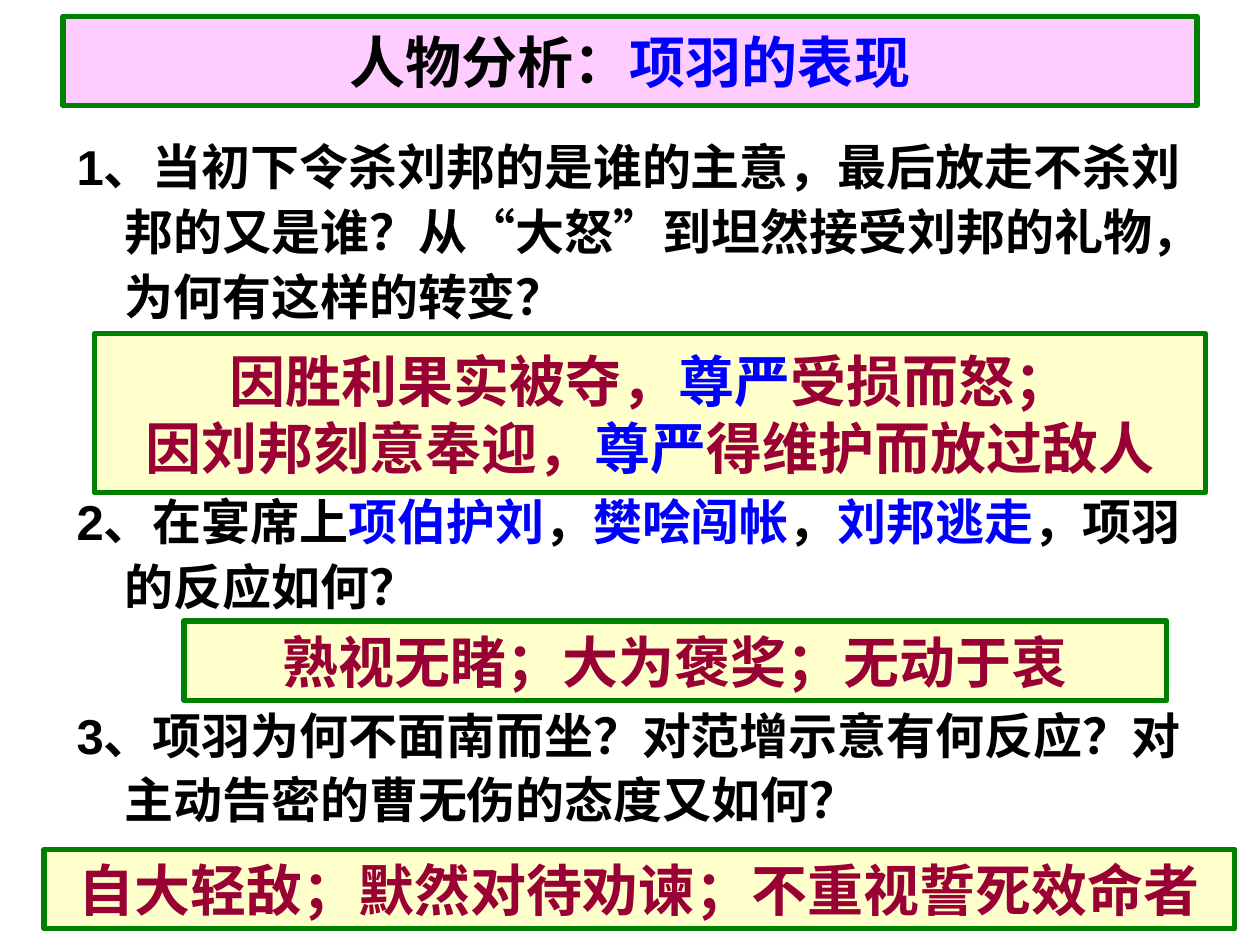
from pptx import Presentation
from pptx import util as u
from pptx.dml.color import RGBColor
from pptx.enum import lang, shapes, text

COLORS = {
    "ink": "000000",
    "highlight": "0000FF",
    "answer": "990033",
    "border": "008000",
    "title_fill": "FFCCFF",
    "answer_fill": "FFFFCC",
}
FONT = "Arial"
COLUMNS, ROWS = 100, 75
HANGING = 3.8  # columns

# Text between bars is highlighted
TITLE = "人物分析：|项羽的表现|"
QUESTIONS = [  # wording, points left free above for the previous answer
    ("1、当初下令杀刘邦的是谁的主意，最后放走不杀刘邦的又是谁？"
     "从“大怒”到坦然接受刘邦的礼物，为何有这样的转变？", 0),
    ("2、在宴席上|项伯护刘|，|樊哙闯帐|，|刘邦逃走|，项羽的反应如何？", 92),
    ("3、项羽为何不面南而坐？对范增示意有何反应？"
     "对主动告密的曹无伤的态度又如何？", 48),
]
ANSWERS = [  # box in columns and rows, lines
    ((7.5, 26.5, 88.2, 12.6), ["因胜利果实被夺，|尊严|受损而怒；",
                               "因刘邦刻意奉迎，|尊严|得维护而放过敌人"]),
    ((14.6, 49.3, 78, 6.3), ["熟视无睹；大为褒奖；无动于衷"]),
    ((3.5, 67.4, 94.5, 6.3), ["自大轻敌；默然对待劝谏；不重视誓死效命者"]),
]


def rgb(name):
    return RGBColor.from_string(COLORS[name])


def write(paragraph, marked, size, color):
    font = paragraph.font
    font.name, font.size, font.bold = FONT, u.Pt(size), True
    font.color.rgb = rgb(color)
    for index, part in enumerate(marked.split("|")):
        if part:
            run = paragraph.add_run()
            run.text = part
            run.font.language_id = lang.MSO_LANGUAGE_ID.SIMPLIFIED_CHINESE
            if index % 2:
                run.font.color.rgb = rgb("highlight")


def paragraphs(frame, count):
    return [frame.paragraphs[0]] + [frame.add_paragraph() for _ in range(count - 1)]


def add_panel(slide, box, lines, fill, color, wrap):
    """Framed box with centred lines."""
    panel = slide.shapes.add_shape(shapes.MSO_SHAPE.RECTANGLE, *box)
    panel.shadow.inherit = False
    panel.fill.solid()
    panel.fill.fore_color.rgb = rgb(fill)
    panel.line.color.rgb = rgb("border")
    panel.line.width = u.Pt(3)
    frame = panel.text_frame
    frame.word_wrap = wrap
    frame.vertical_anchor = text.MSO_ANCHOR.MIDDLE
    for paragraph, line in zip(paragraphs(frame, len(lines)), lines):
        paragraph.alignment = text.PP_ALIGN.CENTER
        write(paragraph, line, 32, color)


def add_questions(slide, box, questions, hanging):
    """Numbered questions with a hanging indent."""
    frame = slide.shapes.add_textbox(*box).text_frame
    frame.word_wrap = True
    for paragraph, (wording, gap) in zip(paragraphs(frame, len(questions)), questions):
        paragraph.line_spacing = 1.1
        paragraph.space_before = u.Pt(gap)
        properties = paragraph._p.get_or_add_pPr()
        properties.set("marL", str(hanging))
        properties.set("indent", str(-hanging))
        write(paragraph, wording, 28, "ink")


def main():
    deck = Presentation()
    deck.slide_width, deck.slide_height = u.Inches(10), u.Inches(7.5)
    slide = deck.slides.add_slide(deck.slide_layouts[6])
    column, row = deck.slide_width / COLUMNS, deck.slide_height / ROWS

    def cells(left, top, width, height):
        return [round(n * unit) for n, unit in
                zip((left, top, width, height), (column, row) * 2)]

    # Title
    add_panel(slide, cells(5, 1.3, 90, 7.1), [TITLE], "title_fill", "ink", True)
    # Questions
    add_questions(slide, cells(5.1, 9.9, 90, 60.6), QUESTIONS, round(HANGING * column))
    # Answers
    for box, lines in ANSWERS:
        add_panel(slide, cells(*box), lines, "answer_fill", "answer", False)

    deck.save("out.pptx")


if __name__ == "__main__":
    main()
